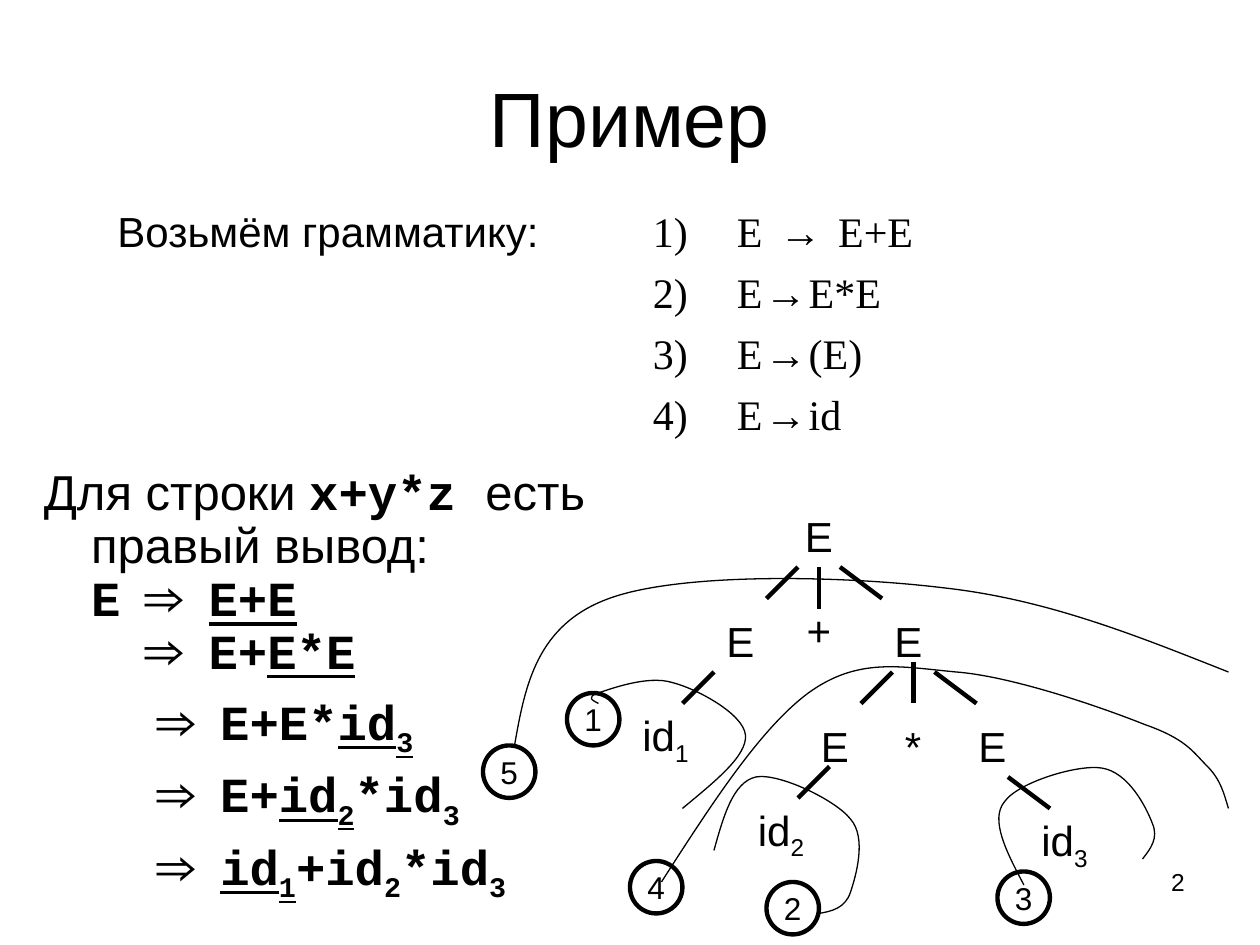
"""Build the slide on a rightmost derivation and its parse tree."""
from lxml import etree
from pptx import Presentation
from pptx import util as u
from pptx.dml.color import RGBColor
from pptx.enum import shapes, text
from pptx.oxml.ns import qn

PX = 7620
INK = "000000"
SANS, MONO, SERIF = "Arial", "Courier New", "Times New Roman"
BOLD, UNDER, SUB = "b", "u", "s"
LEFT, CENTER, RIGHT = text.PP_ALIGN.LEFT, text.PP_ALIGN.CENTER, text.PP_ALIGN.RIGHT

# Runs are (words, font, flags).
GRAMMAR = [
    [("E", SERIF, ""), (" → ", MONO, ""), ("E+E", SERIF, "")],
    *[[("E ", SERIF, ""), ("→", MONO, ""), (" " + right, SERIF, "")]
      for right in ("E*E", "(E)", "id")],
]
# Paragraphs are (left margin, first-line indent, points before, runs).
DERIVATION = [
    (45, -45, 0, [("Для строки ", SANS, ""), ("x+y*z ", MONO, BOLD),
                  ("есть правый вывод:", SANS, "")]),
    (45, 0, 0, [("E ⇒ ", MONO, "b"), ("E+E", MONO, "bu")]),
    (101, 0, 0, [("⇒ E+", MONO, "b"), ("E*E", MONO, "bu")]),
    (112, 0, 7, [("⇒ E+E*", MONO, "b"), ("id", MONO, "bu"), ("3", MONO, "bus")]),
    (112, 0, 7, [("⇒ E+", MONO, "b"), ("id", MONO, "bu"), ("2", MONO, "bus"),
                 ("*id", MONO, "b"), ("3", MONO, "bs")]),
    (112, 0, 7, [("⇒ ", MONO, "b"), ("id", MONO, "bu"), ("1", MONO, "bus"),
                 ("+id", MONO, "b"), ("2", MONO, "bs"),
                 ("*id", MONO, "b"), ("3", MONO, "bs")]),
]
NODES = [
    ("E", "", 750, 480, 60, CENTER), ("E", "", 680, 580, 60, LEFT),
    ("E", "", 840, 580, 60, LEFT), ("+", "", 750, 570, 60, CENTER),
    ("id", "1", 600, 670, 90, LEFT), ("E", "", 770, 680, 60, LEFT),
    ("E", "", 920, 680, 60, LEFT), ("*", "", 850, 680, 60, LEFT),
    ("id", "2", 710, 760, 110, LEFT), ("id", "3", 980, 770, 90, LEFT),
]
BRANCHES = [
    (760, 540, 730, 570), (800, 540, 840, 570), (780, 540, 780, 580),
    (680, 640, 650, 670), (870, 630, 870, 670), (850, 640, 820, 670),
    (890, 640, 930, 670), (790, 730, 760, 760), (960, 740, 1000, 770),
]
# Curves are (rotation, start point followed by three points per segment).
CURVES = [
    (0, [(570, 670), (564, 667), (558, 664), (570, 660), (582, 656), (617, 643),
         (640, 650), (664, 656), (708, 680), (710, 700), (712, 720), (680, 745),
         (650, 770)]),
    (0, [(680, 810), (689, 778), (698, 745), (720, 740), (742, 736), (796, 762),
         (810, 780), (826, 798), (815, 835), (810, 850), (805, 865), (792, 868),
         (780, 870)]),
    (317.5, [(950, 796), (959, 762), (968, 728), (990, 725), (1012, 720), (1066, 746),
             (1080, 764), (1096, 784), (1086, 820), (1080, 835), (1075, 850),
             (1062, 852), (1050, 854)]),
    (0, [(630, 840), (677, 767), (724, 694), (770, 660), (817, 626), (857, 635),
         (910, 640), (964, 644), (1050, 674), (1090, 690), (1130, 704), (1136, 716),
         (1150, 730), (1163, 743), (1166, 757), (1170, 770)]),
    (0, [(490, 710), (500, 653), (511, 595), (580, 570), (648, 545), (802, 548),
         (900, 560), (998, 571), (1084, 606), (1170, 640)]),
]
STEPS = [("1", 540, 660), ("2", 730, 840), ("3", 950, 830), ("4", 600, 820), ("5", 460, 710)]


def color(value):
    return RGBColor.from_string(value)


def px(*values):
    return [u.Emu(value * PX) for value in values]


def add_runs(para, runs, size):
    for words, font, flags in runs:
        span = para.add_run()
        span.text = words
        span.font.name, span.font.size = font, u.Pt(size)
        span.font.bold, span.font.underline = BOLD in flags, UNDER in flags
        span.font.color.rgb = color(INK)
        if SUB in flags:
            span._r.get_or_add_rPr().set("baseline", "-25000")


def add_text(page, place, paragraphs, size, align=LEFT, anchor=text.MSO_ANCHOR.TOP):
    box = page.shapes.add_textbox(*px(*place))
    frame = box.text_frame
    frame.word_wrap, frame.vertical_anchor = True, anchor
    for index, (margin, indent, before, runs) in enumerate(paragraphs):
        para = frame.paragraphs[0] if index == 0 else frame.add_paragraph()
        para.alignment, para.space_before = align, u.Pt(before)
        properties = para._p.get_or_add_pPr()
        properties.set("marL", str(margin * PX))
        properties.set("indent", str(indent * PX))
        add_runs(para, runs, size)
    return box


def add_label(page, place, runs, size, align=LEFT, anchor=text.MSO_ANCHOR.TOP):
    return add_text(page, place, [(0, 0, 0, runs)], size, align, anchor)


def style_outline(shape, width):
    shape.line.color.rgb, shape.line.width = color(INK), u.Pt(width)


def add_branch(page, ends):
    branch = page.shapes.add_connector(shapes.MSO_CONNECTOR.STRAIGHT, *px(*ends))
    style_outline(branch, 2.5)
    etree.SubElement(branch._element.spPr, qn("a:effectLst"))


def add_curve(page, rotation, points):
    builder = page.shapes.build_freeform(*points[0], scale=PX)
    builder.add_line_segments(points[1:], close=False)
    curve = builder.convert_to_shape()
    track = curve._element.find(".//" + qn("a:path"))
    segments = track.findall(qn("a:lnTo"))
    for start in range(0, len(segments), 3):
        bend = etree.SubElement(track, qn("a:cubicBezTo"))
        for segment in segments[start:start + 3]:
            bend.append(segment[0])
            track.remove(segment)
    curve.rotation = rotation
    curve.shadow.inherit = False
    curve.fill.background()
    style_outline(curve, 0.75)


def add_step(page, number, left, top):
    circle = page.shapes.add_shape(shapes.MSO_SHAPE.OVAL, *px(left, top, 50, 50))
    circle.shadow.inherit = False
    circle.fill.background()
    style_outline(circle, 2.5)
    frame = circle.text_frame
    frame.word_wrap, frame.vertical_anchor = False, text.MSO_ANCHOR.MIDDLE
    frame.paragraphs[0].alignment = CENTER
    add_runs(frame.paragraphs[0], [(number, SANS, "")], 18)


def main():
    deck = Presentation()
    deck.slide_width, deck.slide_height = px(1200, 900)
    page = deck.slides.add_slide(deck.slide_layouts[6])

    add_label(page, (860, 820, 280, 62), [("2", SANS, "")], 14, RIGHT)
    add_label(page, (60, 36, 1080, 150), [("Пример", SANS, "")], 44, CENTER,
              text.MSO_ANCHOR.MIDDLE)
    derivation = add_text(page, (30, 440, 540, 420), DERIVATION, 28)
    for para in derivation.text_frame.paragraphs:
        para.line_spacing = 0.9
    rules = [(80, -80, 6 if index else 0, runs) for index, runs in enumerate(GRAMMAR)]
    grammar = add_text(page, (610, 190, 340, 250), rules, 24)
    for para in grammar.text_frame.paragraphs:
        properties = para._p.get_or_add_pPr()
        etree.SubElement(properties, qn("a:buFont"), typeface=SERIF)
        etree.SubElement(properties, qn("a:buAutoNum"), type="arabicParenR")
    add_label(page, (100, 190, 460, 60), [("Возьмём грамматику:", SANS, "")], 24)

    for name, index, left, top, width, align in NODES:
        runs = [(name, SANS, "")] + ([(index, SANS, SUB)] if index else [])
        add_label(page, (left, top, width, 67 if index else 60), runs, 24, align)
    for ends in BRANCHES:
        add_branch(page, ends)
    for rotation, points in CURVES:
        add_curve(page, rotation, points)
    for step in STEPS:
        add_step(page, *step)
    deck.save("out.pptx")


if __name__ == "__main__":
    main()
